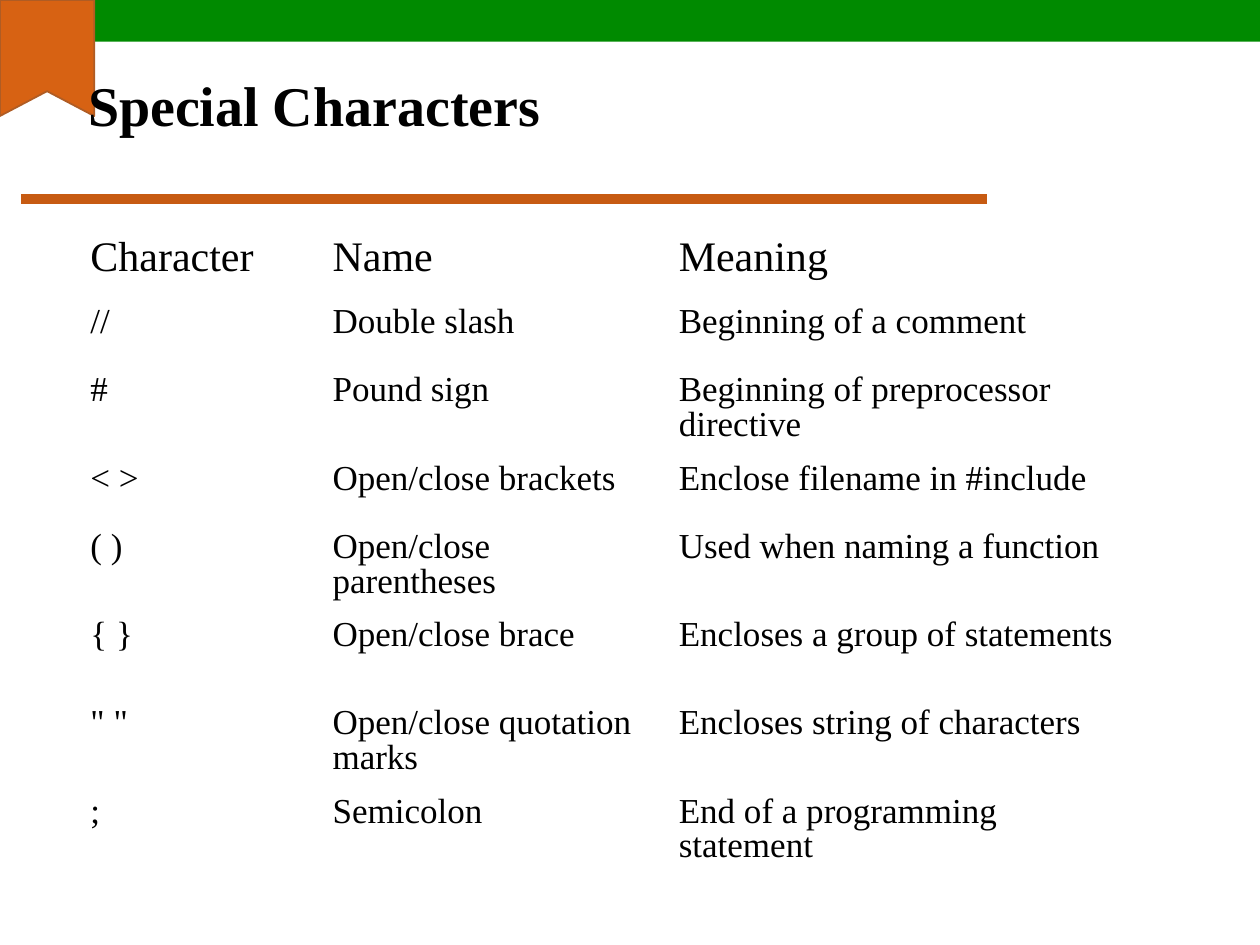
from pptx import Presentation
from pptx.dml.color import RGBColor
from pptx.enum.shapes import MSO_CONNECTOR, MSO_SHAPE
from pptx.enum.text import MSO_ANCHOR, PP_ALIGN
from pptx.oxml.ns import qn
from pptx.util import Cm, Pt
from lxml.etree import SubElement

FONT = "Times New Roman"
GREEN, ORANGE, RUST, BROWN = "008A00", "D76213", "C75B12", "AF5C24"
ROWS = [
    ("Character", "Name", "Meaning"),
    ("//", "Double slash", "Beginning of a comment"),
    ("#", "Pound sign", "Beginning of preprocessor directive"),
    ("< >", "Open/close brackets", "Enclose filename in #include"),
    ("( )", "Open/close parentheses", "Used when naming a function"),
    ("{ }", "Open/close brace", "Encloses a group of statements"),
    ('" "', "Open/close quotation marks", "Encloses string of characters"),
    (";", "Semicolon", "End of a programming statement"),
]
COL_WIDTHS = (4.88, 6.98, 9.52)
SHORT, TALL = 1.37, 1.78
ROW_HEIGHTS = (SHORT, SHORT, TALL, SHORT, TALL, TALL, TALL, TALL)


def color(value):
    return RGBColor.from_string(value)


def write(tf, text, size=20, bold=False, spacing=None):
    p = tf.paragraphs[0]
    p.alignment = PP_ALIGN.LEFT
    p.line_spacing = spacing
    r = p.add_run()
    r.text = text
    r.font.name, r.font.size, r.font.bold = FONT, Pt(size), bold
    r.font.color.rgb = color("000000")


def paint(sp, fill, line=None):
    sp.shadow.inherit = False
    sp.fill.solid()
    sp.fill.fore_color.rgb = color(fill)
    if line:
        sp.line.color.rgb = color(line)
        sp.line.width = Pt(1)
    else:
        sp.line.fill.background()


def add_banner(s, x, y, w, h):
    # Ribbon with a notched tail, then the bar to its right
    ribbon_w, ribbon_h, notch = 1.9, 2.34, 1.84
    bar = s.shapes.add_shape(MSO_SHAPE.RECTANGLE, Cm(x + ribbon_w), Cm(y),
                             Cm(w - ribbon_w), Cm(h))
    paint(bar, GREEN)
    outline = [(ribbon_w, 0), (ribbon_w, ribbon_h), (ribbon_w / 2, notch), (0, ribbon_h)]
    builder = s.shapes.build_freeform(Cm(x), Cm(y))
    builder.add_line_segments([(Cm(x + dx), Cm(y + dy)) for dx, dy in outline])
    paint(builder.convert_to_shape(), ORANGE, BROWN)


def add_rule(s, x, y, w):
    line = s.shapes.add_connector(MSO_CONNECTOR.STRAIGHT, Cm(x), Cm(y), Cm(x + w), Cm(y))
    line.line.color.rgb = color(RUST)
    line.line.width = Pt(6)
    SubElement(line._element.spPr, qn("a:effectLst"))


def add_title(s, text, x, y, w, h):
    title = s.shapes.title
    title.left, title.top, title.width, title.height = Cm(x), Cm(y), Cm(w), Cm(h)
    title.text_frame.vertical_anchor = MSO_ANCHOR.MIDDLE
    write(title.text_frame, text, size=32, bold=True)


def add_character_table(s, x, y):
    table = s.shapes.add_table(len(ROWS), len(COL_WIDTHS), Cm(x), Cm(y),
                               Cm(sum(COL_WIDTHS)), Cm(sum(ROW_HEIGHTS))).table
    table.first_row = table.horz_banding = False
    for column, width in zip(table.columns, COL_WIDTHS):
        column.width = Cm(width)
    for i, (row, height) in enumerate(zip(table.rows, ROW_HEIGHTS)):
        row.height = Cm(height)
        for cell, text in zip(row.cells, ROWS[i]):
            cell.fill.background()
            write(cell.text_frame, text, size=20 if i else 24, spacing=0.9)


def main():
    prs = Presentation()
    prs.slide_width, prs.slide_height = Cm(25.4), Cm(19.05)
    s = prs.slides.add_slide(prs.slide_layouts[5])
    add_rule(s, 0.43, 4.01, 19.46)
    add_banner(s, 0, 0, 25.4, 0.84)
    add_title(s, "Special Characters", 1.52, 0.58, 22.86, 3.05)
    # Keep the title in front of the ribbon
    s.shapes._spTree.append(s.shapes.title._element)
    add_character_table(s, 1.57, 4.67)
    prs.save("out.pptx")


if __name__ == "__main__":
    main()
